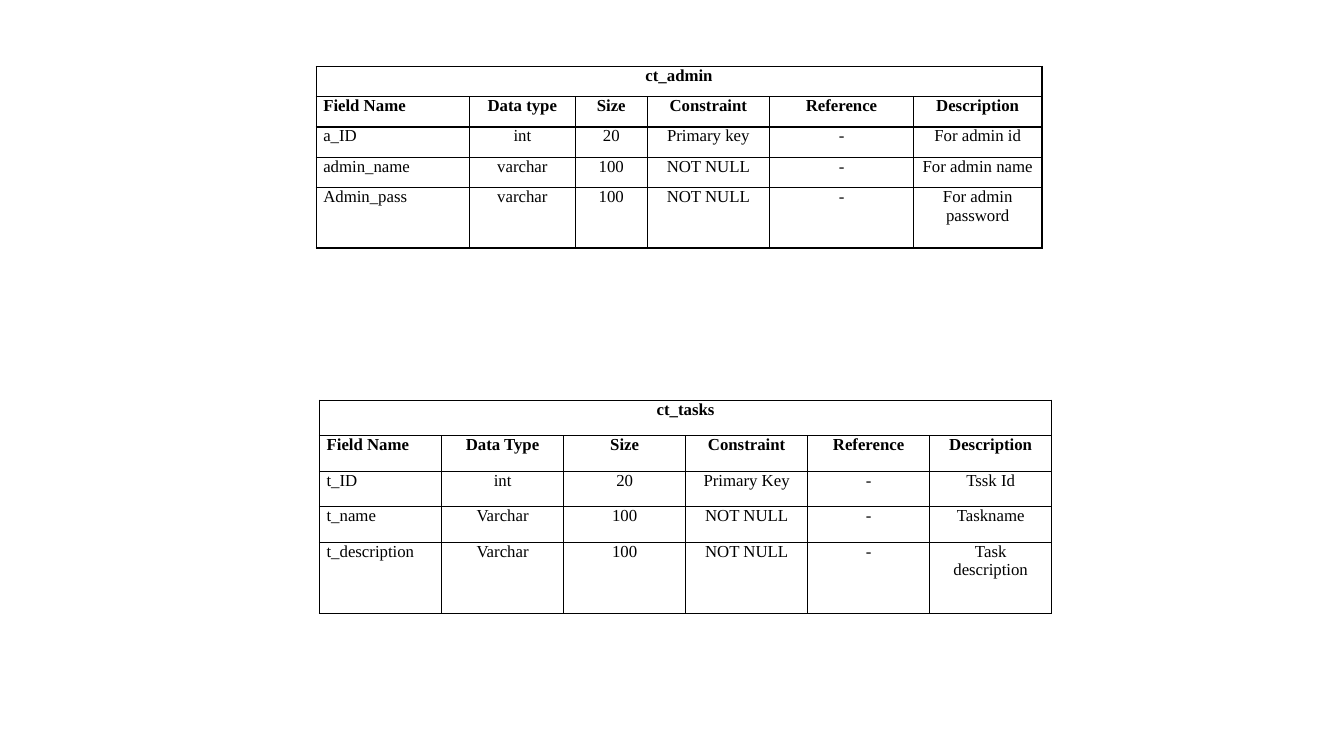
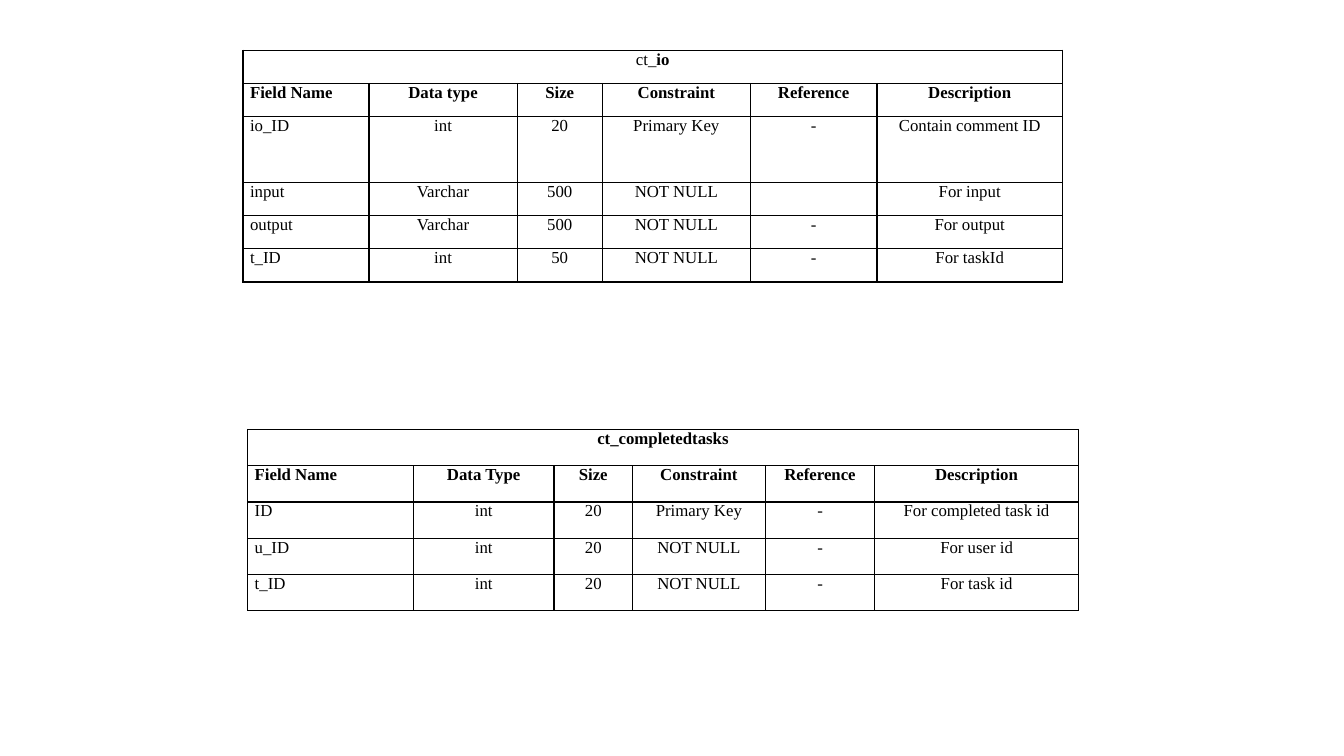
"""Build two slides of database table definitions."""
from pptx import Presentation
from pptx.dml.color import RGBColor
from pptx.enum.text import MSO_ANCHOR, PP_ALIGN as Align
from pptx.oxml import parse_xml
from pptx.oxml.ns import nsdecls
from pptx.util import Inches, Pt

BLACK = RGBColor(0x00, 0x00, 0x00)
WHITE = RGBColor(0xFF, 0xFF, 0xFF)
FONT = "Times New Roman"
BLANK_LAYOUT = 6
GRID = 100


def write_text(paragraph, text, *, size=12, bold=False, color=BLACK, align=Align.CENTER):
    """Append one formatted run to a paragraph."""
    paragraph.alignment = align
    run = paragraph.add_run()
    run.text = text
    run.font.name = FONT
    run.font.size = Pt(size)
    run.font.bold = bold
    run.font.color.rgb = color


class Deck:
    """Hold the presentation, its grid and the current slide."""

    def __init__(self, width, height):
        """Set the slide size and a grid of 100 columns and rows."""
        self.presentation = Presentation()
        self.presentation.slide_width = Inches(width)
        self.presentation.slide_height = Inches(height)
        self.slide = None

    def columns(self, count):
        """Turn grid columns into a length."""
        return round(self.presentation.slide_width * count / GRID)

    def rows(self, count):
        """Turn grid rows into a length."""
        return round(self.presentation.slide_height * count / GRID)

    def add_slide(self):
        """Start a blank slide."""
        layout = self.presentation.slide_layouts[BLANK_LAYOUT]
        self.slide = self.presentation.slides.add_slide(layout)

    def style_cell(self, cell):
        """Give a cell its margins, thin borders and white fill."""
        cell.margin_left = cell.margin_right = Inches(0.07)
        cell.margin_top = cell.margin_bottom = 0
        cell.vertical_anchor = MSO_ANCHOR.TOP
        properties = cell._tc.get_or_add_tcPr()
        for side in ("lnL", "lnR", "lnT", "lnB"):
            properties.append(parse_xml(
                f'<a:{side} {nsdecls("a")} w="{Pt(1)}"><a:solidFill>'
                f'<a:srgbClr val="{BLACK}"/></a:solidFill></a:{side}>'))
        cell.fill.solid()
        cell.fill.fore_color.rgb = WHITE

    def add_schema(self, title, fields, *, left, top, widths, row_height,
                   tall_row=None, type_label="Data Type", plain_prefix=""):
        """Draw a titled field table; the tall row has double height."""
        header = ("Field Name", type_label, "Size", "Constraint", "Reference", "Description")
        body = [header, *fields]
        heights = [row_height * (2 if index == tall_row else 1)
                   for index in range(len(body) + 1)]
        table = self.slide.shapes.add_table(
            len(heights), len(widths), self.columns(left), self.rows(top),
            self.columns(sum(widths)), self.rows(sum(heights))).table
        table.first_row = table.horz_banding = False
        for column, width in zip(table.columns, widths):
            column.width = self.columns(width)
        for row, height in zip(table.rows, heights):
            row.height = self.rows(height)
        for cell in table.iter_cells():
            self.style_cell(cell)

        heading = table.cell(0, 0)
        heading.merge(table.cell(0, len(widths) - 1))
        paragraph = heading.text_frame.paragraphs[0]
        if plain_prefix:
            write_text(paragraph, plain_prefix)
        write_text(paragraph, title, bold=True)

        for row_index, values in enumerate(body, start=1):
            for column_index, value in enumerate(values):
                if value:
                    write_text(table.cell(row_index, column_index).text_frame.paragraphs[0],
                               value, bold=row_index == 1,
                               align=Align.CENTER if column_index else Align.LEFT)


def main():
    """Build and save the slides."""
    deck = Deck(13.33, 7.5)

    deck.add_slide()
    deck.add_schema("ct_admin", [
        ("a_ID", "int", "20", "Primary key", "-", "For admin id"),
        ("admin_name", "varchar", "100", "NOT NULL", "-", "For admin name"),
        ("Admin_pass", "varchar", "100", "NOT NULL", "-", "For admin password"),
    ], left=23.53, top=8.8, widths=(11.4, 7.88, 5.35, 9.1, 10.72, 9.55),
        row_height=4, tall_row=4, type_label="Data type")
    deck.add_schema("ct_tasks", [
        ("t_ID", "int", "20", "Primary Key", "-", "Tssk Id"),
        ("t_name", "Varchar", "100", "NOT NULL", "-", "Taskname"),
        ("t_description", "Varchar", "100", "NOT NULL", "-", "Task description"),
    ], left=23.78, top=52.95, widths=(9.08,) * 6, row_height=4.7, tall_row=4)

    deck.add_slide()
    deck.add_schema("io", [
        ("io_ID", "int", "20", "Primary Key", "-", "Contain comment ID"),
        ("input", "Varchar", "500", "NOT NULL", "", "For input"),
        ("output", "Varchar", "500", "NOT NULL", "-", "For output"),
        ("t_ID", "int", "50", "NOT NULL", "-", "For taskId"),
    ], left=18.08, top=6.65, widths=(9.38, 11.02, 6.34, 11.02, 9.42, 13.8),
        row_height=4.38, tall_row=2, type_label="Data type", plain_prefix="ct_")
    deck.add_schema("ct_completedtasks", [
        ("ID", "int", "20", "Primary Key", "-", "For completed task id"),
        ("u_ID", "int", "20", "NOT NULL", "-", "For user id"),
        ("t_ID", "int", "20", "NOT NULL", "-", "For task id"),
    ], left=18.43, top=56.8, widths=(12.33, 10.47, 5.84, 9.88, 8.15, 15.15),
        row_height=4.8)

    deck.presentation.save("out.pptx")


if __name__ == "__main__":
    main()
